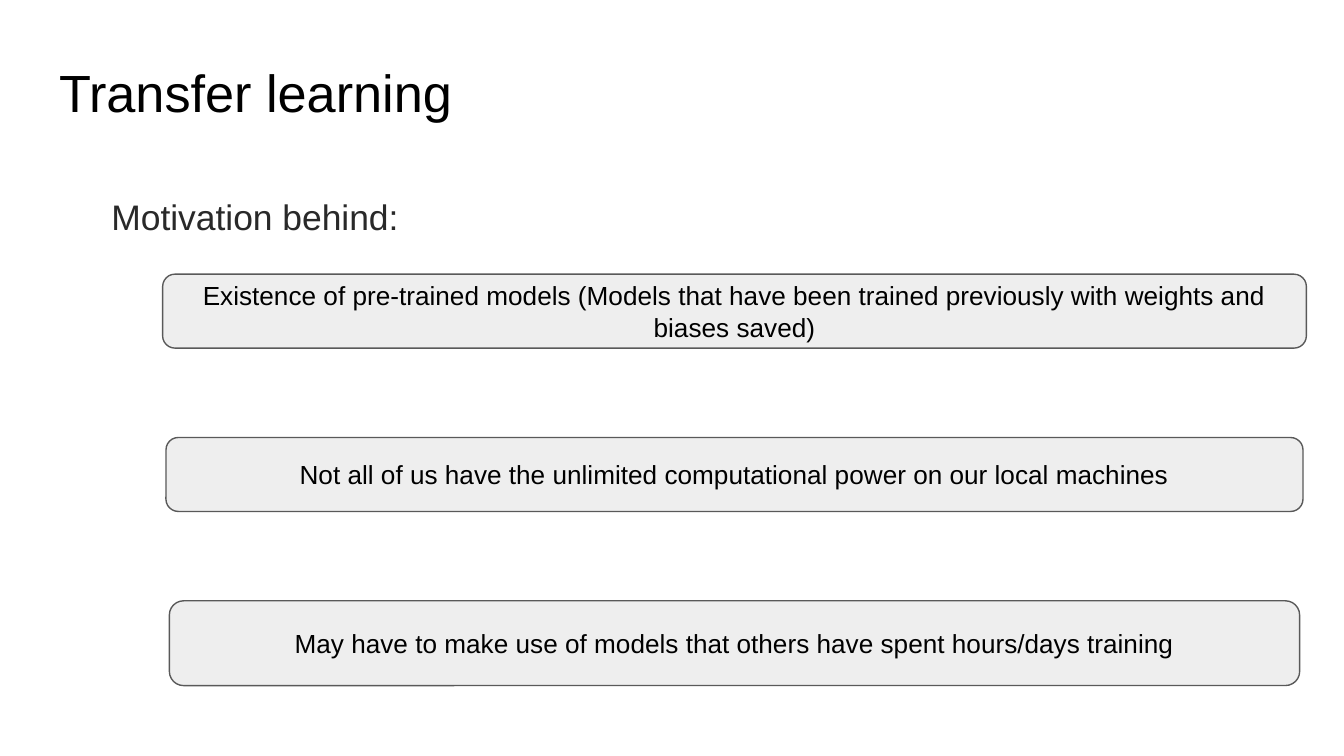
from pptx import Presentation
from pptx.dml.color import RGBColor
from pptx.enum.shapes import MSO_SHAPE as Shape
from pptx.enum.text import MSO_ANCHOR as Anchor, MSO_AUTO_SIZE as AutoSize, PP_ALIGN as Align
from pptx.util import Pt

# Content
HEADING = "Transfer learning"
LEAD_IN = "Motivation behind:"
REASONS = [  # text, box height
    ("Existence of pre-trained models (Models that have been trained previously "
     "with weights and biases saved)", 39.6),
    ("Not all of us have the unlimited computational power on our local machines", 39.6),
    ("May have to make use of models that others have spent hours/days training", 45.4),
]

THEME = {
    "font": "Arial",
    "ink": RGBColor(0x00, 0x00, 0x00),
    "soft_ink": RGBColor(0x29, 0x29, 0x29),
    "box_fill": RGBColor(0xEE, 0xEE, 0xEE),
    "box_line": RGBColor(0x59, 0x59, 0x59),
    "heading_size": Pt(28),
    "lead_in_size": Pt(19),
    "reason_size": Pt(14),
}

# Reason boxes share a centre line; each is a little narrower than the one above
CENTRE, FIRST_TOP, PITCH = 393.5, 146.9, 87.5
FIRST_WIDTH, NARROWING = 612.7, 3.6


def write(holder, text, size, color, anchor=Anchor.TOP, align=Align.LEFT):
    frame = holder.text_frame
    frame.text = text
    frame_format = {"word_wrap": True, "auto_size": AutoSize.NONE, "vertical_anchor": anchor}
    frame_format.update({f"margin_{side}": Pt(7.2) for side in ("left", "top", "right", "bottom")})
    for name, value in frame_format.items():
        setattr(frame, name, value)
    paragraph = frame.paragraphs[0]
    paragraph.alignment = align
    font = paragraph.runs[0].font
    for name, value in {"name": THEME["font"], "size": size}.items():
        setattr(font, name, value)
    font.color.rgb = color


deck = Presentation()
deck.slide_width, deck.slide_height = Pt(720), Pt(405)
slide = deck.slides.add_slide(deck.slide_layouts[5])

# Heading
heading = slide.shapes.title
for name, value in {"left": 24.5, "top": 25.2, "width": 671, "height": 45.4}.items():
    setattr(heading, name, Pt(value))
write(heading, HEADING, THEME["heading_size"], THEME["ink"])

# Lead-in
lead_in = slide.shapes.add_textbox(Pt(52.6), Pt(97.2), Pt(236.2), Pt(36))
write(lead_in, LEAD_IN, THEME["lead_in_size"], THEME["soft_ink"])

# Reasons
for index, (text, height) in enumerate(REASONS):
    width = FIRST_WIDTH - index * NARROWING
    reason = slide.shapes.add_shape(
        Shape.ROUNDED_RECTANGLE, Pt(CENTRE - width / 2), Pt(FIRST_TOP + index * PITCH),
        Pt(width), Pt(height))
    reason.shadow.inherit = False
    reason.fill.solid()
    reason.fill.fore_color.rgb = THEME["box_fill"]
    reason.line.color.rgb = THEME["box_line"]
    reason.line.width = Pt(0.75)
    write(reason, text, THEME["reason_size"], THEME["ink"], Anchor.MIDDLE, Align.CENTER)

deck.save("out.pptx")
